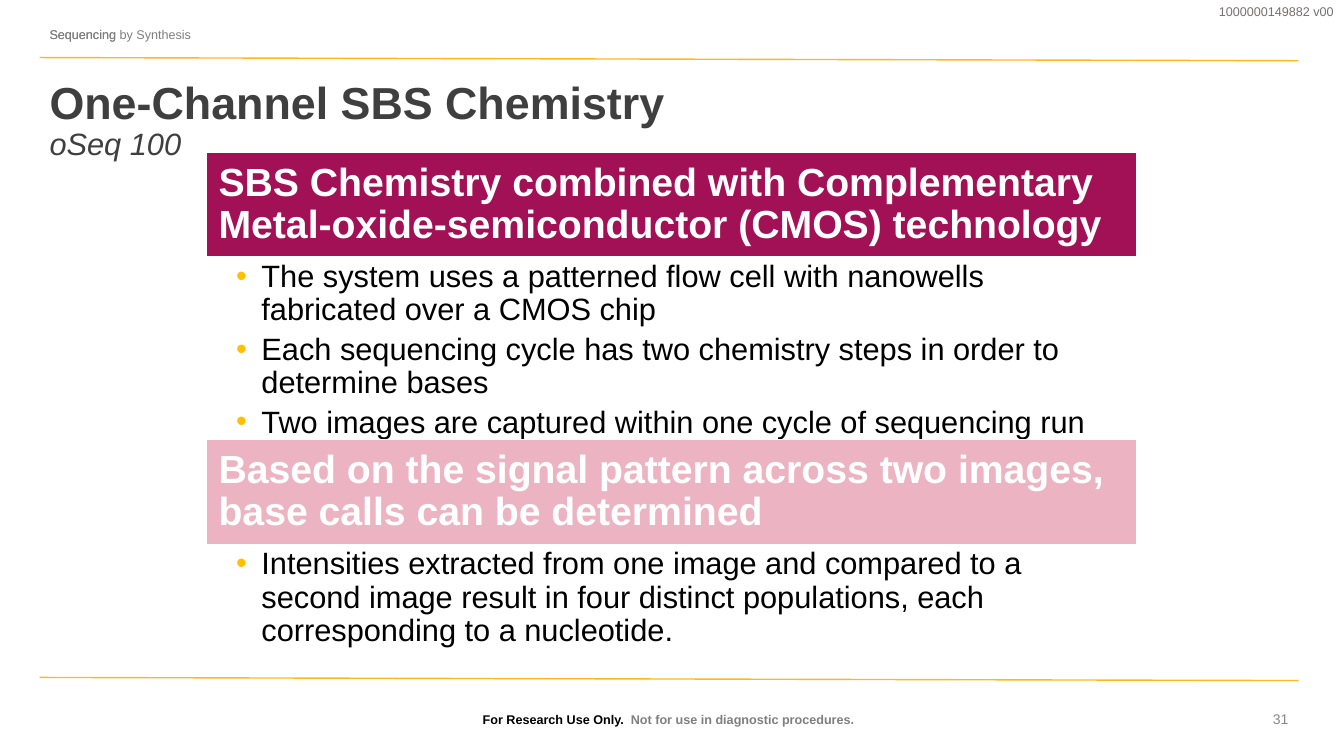
"""Build the slide on one-channel sequencing chemistry."""
from lxml import etree
from pptx import Presentation
from pptx.dml.color import RGBColor
from pptx.enum.shapes import MSO_CONNECTOR, MSO_SHAPE
from pptx.enum.text import MSO_ANCHOR, PP_ALIGN
from pptx.oxml.ns import qn
from pptx.util import Cm, Pt

STRAIGHT = MSO_CONNECTOR.STRAIGHT
RECTANGLE = MSO_SHAPE.RECTANGLE
TOP, MIDDLE, BOTTOM = MSO_ANCHOR.TOP, MSO_ANCHOR.MIDDLE, MSO_ANCHOR.BOTTOM
LEFT, CENTER, RIGHT = PP_ALIGN.LEFT, PP_ALIGN.CENTER, PP_ALIGN.RIGHT

COLOURS = {
    "rule": "FFB81C",
    "bullet": "FFC000",
    "magenta": "A21056",
    "pink": "ECB4C3",
    "white": "FFFFFF",
    "black": "000000",
    "title": "3F3F3F",
    "grey": "7F7F7F",
    "version": "757070",
    "number": "888888",
}
FONT = "Arial"
MARGIN = 1
CONTENT_LEFT, CONTENT_TOP, CONTENT_WIDTH = 5.21, 3.84, 23.44
BAND_HEIGHT = 2.64
INDENT = 0.64
SMALL_INSETS = (0.25, 0.13, 0.25, 0.13)
BAND_INSETS = (0.3, 0.3, 0.3, 0.3)
LIST_INSETS = (0.74, 0.1, 0.56, 0.1)

SECTIONS = [
    ("magenta",
     "SBS Chemistry combined with Complementary Metal-oxide-semiconductor (CMOS) technology",
     4.6,
     ["The system uses a patterned flow cell with nanowells fabricated over a CMOS chip",
      "Each sequencing cycle has two chemistry steps in order to determine bases",
      "Two images are captured within one cycle of sequencing run"]),
    ("pink",
     "Based on the signal pattern across two images, base calls can be determined",
     2.67,
     ["Intensities extracted from one image and compared to a second image result in "
      "four distinct populations, each corresponding to a nucleotide."]),
]


def colour(name):
    """Return the named colour."""
    return RGBColor.from_string(COLOURS[name])


def add_span(para, text, size, shade, bold=False, italic=False):
    """Add one styled run to a paragraph."""
    span = para.add_run()
    span.text = text
    span.font.name = FONT
    span.font.size = Pt(size)
    span.font.bold = bold
    span.font.italic = italic
    span.font.color.rgb = colour(shade)


def set_frame(shape, insets, anchor):
    """Set wrapping, insets and anchor, and return the text frame."""
    frame = shape.text_frame
    frame.word_wrap = True
    frame.vertical_anchor = anchor
    (frame.margin_left, frame.margin_top,
     frame.margin_right, frame.margin_bottom) = map(Cm, insets)
    return frame


def add_box(page, place, anchor=MIDDLE, insets=SMALL_INSETS):
    """Add a text box and return its text frame."""
    box = page.shapes.add_textbox(*map(Cm, place))
    return set_frame(box, insets, anchor)


def add_label(page, place, spans, align=LEFT, anchor=MIDDLE, spacing=0.9):
    """Add a one-paragraph text box and return the paragraph."""
    para = add_box(page, place, anchor).paragraphs[0]
    para.alignment = align
    para.line_spacing = spacing
    for span in spans:
        add_span(para, *span)
    return para


def add_rule(page, top):
    """Add a slightly sloping line across the page."""
    rule = page.shapes.add_connector(
        STRAIGHT, Cm(MARGIN), Cm(top), Cm(32.72), Cm(top + 0.08))
    rule.line.color.rgb = colour("rule")
    rule.line.width = Pt(1)
    etree.SubElement(rule._element.spPr, qn("a:effectLst"))


def add_band(page, top, fill, text):
    """Add a filled heading band."""
    band = page.shapes.add_shape(
        RECTANGLE, Cm(CONTENT_LEFT), Cm(top), Cm(CONTENT_WIDTH), Cm(BAND_HEIGHT))
    band.shadow.inherit = False
    band.fill.solid()
    band.fill.fore_color.rgb = colour(fill)
    band.line.color.rgb = colour("white")
    band.line.width = Pt(1)
    para = set_frame(band, BAND_INSETS, MIDDLE).paragraphs[0]
    para.alignment = LEFT
    para.line_spacing = 0.9
    add_span(para, text, 28, "white", True)


def add_bullet(para):
    """Give a paragraph a coloured bullet with a hanging indent."""
    properties = para._p.get_or_add_pPr()
    properties.set("marL", str(Cm(INDENT)))
    properties.set("indent", str(-Cm(INDENT)))
    shade = etree.SubElement(properties, qn("a:buClr"))
    etree.SubElement(shade, qn("a:srgbClr"), val=COLOURS["bullet"])
    etree.SubElement(properties, qn("a:buFont"), typeface=FONT)
    etree.SubElement(properties, qn("a:buChar"), char="•")


def add_list(page, top, height, items):
    """Add a bulleted list."""
    place = (CONTENT_LEFT, top, CONTENT_WIDTH, height)
    frame = add_box(page, place, TOP, LIST_INSETS)
    for index, item in enumerate(items):
        para = frame.add_paragraph() if index else frame.paragraphs[0]
        add_bullet(para)
        para.line_spacing = 0.9
        para.space_before = Pt(4.4 if index else 0)
        add_span(para, item, 22, "black")


def main():
    """Build and save the deck."""
    deck = Presentation()
    deck.slide_width, deck.slide_height = Cm(33.87), Cm(19.05)
    page = deck.slides.add_slide(deck.slide_layouts[6])

    for top in (17.07, 1.45):
        add_rule(page, top)
    add_label(page, (28.5, 0, 5.36, 0.61),
              [("1000000149882 v00", 9, "version")], RIGHT)
    title = add_label(page, (MARGIN, 1.9, 31.72, 3.05),
                      [("One-Channel SBS Chemistry", 32, "title", True)], anchor=TOP)
    title.add_line_break()
    add_span(title, "oSeq 100", 22, "title", italic=True)
    add_label(page, (25.1, 17.78, 7.62, 0.69), [("31", 10, "number")], RIGHT, spacing=1.0)
    add_label(page, (11.13, 17.42, 11.43, 1.02),
              [("For Research Use Only.  ", 9, "black", True),
               ("Not for use in diagnostic procedures.", 9, "grey", True)],
              CENTER, BOTTOM, 1.0)

    top = CONTENT_TOP
    for fill, heading, height, items in SECTIONS:
        add_band(page, top, fill, heading)
        add_list(page, top + BAND_HEIGHT, height, items)
        top += BAND_HEIGHT + height

    for text in ("Sequencing", "Sequencing by Synthesis"):
        add_label(page, (MARGIN, 0.58, 12.88, 0.61), [(text, 9, "grey")])
    deck.save("out.pptx")


if __name__ == "__main__":
    main()
